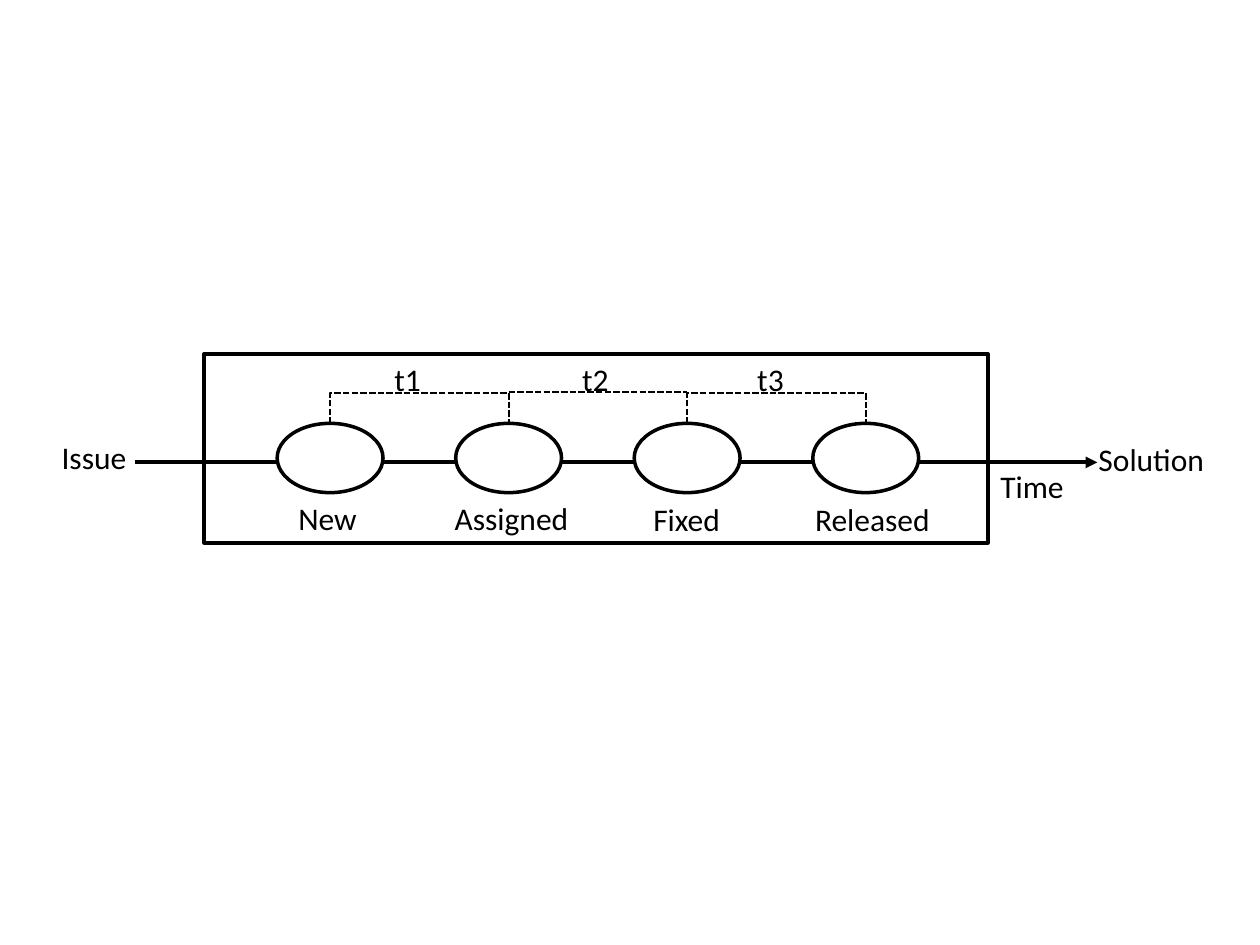
from lxml import etree
from pptx import Presentation, util as u
from pptx.dml.color import RGBColor
from pptx.enum import dml, shapes, text
from pptx.oxml import ns

COLUMNS, ROWS = 100, 75


def color(value):
    return RGBColor.from_string(value)


class Diagram:
    """Draws timeline elements on one slide, measured in grid columns and rows."""

    ink, paper, font, size = "000000", "FFFFFF", "Calibri", 18

    def __init__(self, deck):
        self.slide = deck.slides.add_slide(deck.slide_layouts[6])
        self.column = deck.slide_width / COLUMNS
        self.row = deck.slide_height / ROWS

    def place(self, *lengths):
        return [u.Emu(round(length * (self.row if i % 2 else self.column)))
                for i, length in enumerate(lengths)]

    def outlined(self, kind, *box):
        shape = self.slide.shapes.add_shape(kind, *self.place(*box))
        shape.shadow.inherit = False
        shape.fill.solid()
        shape.fill.fore_color.rgb = color(self.paper)
        shape.line.color.rgb = color(self.ink)
        shape.line.width = u.Pt(2)

    def label(self, words, left, top, width, align=text.PP_ALIGN.LEFT):
        box = self.slide.shapes.add_textbox(*self.place(left, top, width, 4))
        frame = box.text_frame
        frame.word_wrap = True
        frame.auto_size = text.MSO_AUTO_SIZE.SHAPE_TO_FIT_TEXT
        paragraph = frame.paragraphs[0]
        paragraph.alignment = align
        run = paragraph.add_run()
        run.text = words
        run.font.name, run.font.size = self.font, u.Pt(self.size)
        run.font.color.rgb = color(self.ink)

    def line(self, *ends, kind=shapes.MSO_CONNECTOR.STRAIGHT, width=1.25, dashed=True):
        link = self.slide.shapes.add_connector(kind, *self.place(*ends))
        link.line.color.rgb = color(self.ink)
        link.line.width = u.Pt(width)
        if dashed:
            link.line.dash_style = dml.MSO_LINE.SQUARE_DOT
        etree.SubElement(link._element.spPr, ns.qn("a:effectLst"))
        return link

    def arrow(self, *ends):
        link = self.line(*ends, width=2.25, dashed=False)
        etree.SubElement(link.line._get_or_add_ln(), ns.qn("a:tailEnd"), type="triangle")

    def bracket(self, start, end, base, rise):
        middle, half, thin = (start + end) / 2, (end - start) / 2, 0.1
        link = self.line(middle + thin / 2, base + half, middle - thin / 2, base - half,
                         kind=shapes.MSO_CONNECTOR.ELBOW)
        properties = link._element.spPr
        properties.find(ns.qn("a:xfrm")).set("rot", "5400000")
        geometry = properties.find(ns.qn("a:prstGeom"))
        guides = geometry.find(ns.qn("a:avLst"))
        if guides is None:
            guides = etree.SubElement(geometry, ns.qn("a:avLst"))
        etree.SubElement(guides, ns.qn("a:gd"), name="adj1",
                         fmla=f"val {round(rise / thin * 100000)}")


deck = Presentation()
deck.slide_width, deck.slide_height = u.Inches(10), u.Inches(7.5)
timeline = Diagram(deck)
center = text.PP_ALIGN.CENTER

stage_width, stage_height, stage_top, rise = 8.4, 5.5, 33.6, 2.5
stage_lefts = [22 + 14.17 * i for i in range(4)]
middles = [left + stage_width / 2 for left in stage_lefts]

timeline.outlined(shapes.MSO_SHAPE.RECTANGLE, 16.2, 28.1, 62.2, 15)
timeline.arrow(10.7, 36.7, 87.1, 36.7)
for left in stage_lefts:
    timeline.outlined(shapes.MSO_SHAPE.OVAL, left, stage_top, stage_width, stage_height)

for words, left, top, width in [
    ("Issue", 3.9, 34.3, 7.9), ("Solution", 86.2, 34.4, 12.6), ("Time", 78.4, 36.6, 7.9),
    ("New", 22.7, 39.1, 7.9), ("Assigned", 35.1, 39.1, 11.8), ("Released", 63.7, 39.2, 11.8),
]:
    timeline.label(words, left, top, width)
timeline.label("Fixed", 48.6, 39.2, 11.8, center)
for number, left in enumerate((29.6, 44.5, 58.4), 1):
    timeline.label(f"t{number}", left, 28.1, 5.5, center)

for first in (0, 2):
    timeline.bracket(middles[first], middles[first + 1], stage_top, rise)
timeline.line(middles[1], stage_top - rise, middles[2], stage_top - rise)

deck.save("out.pptx")
